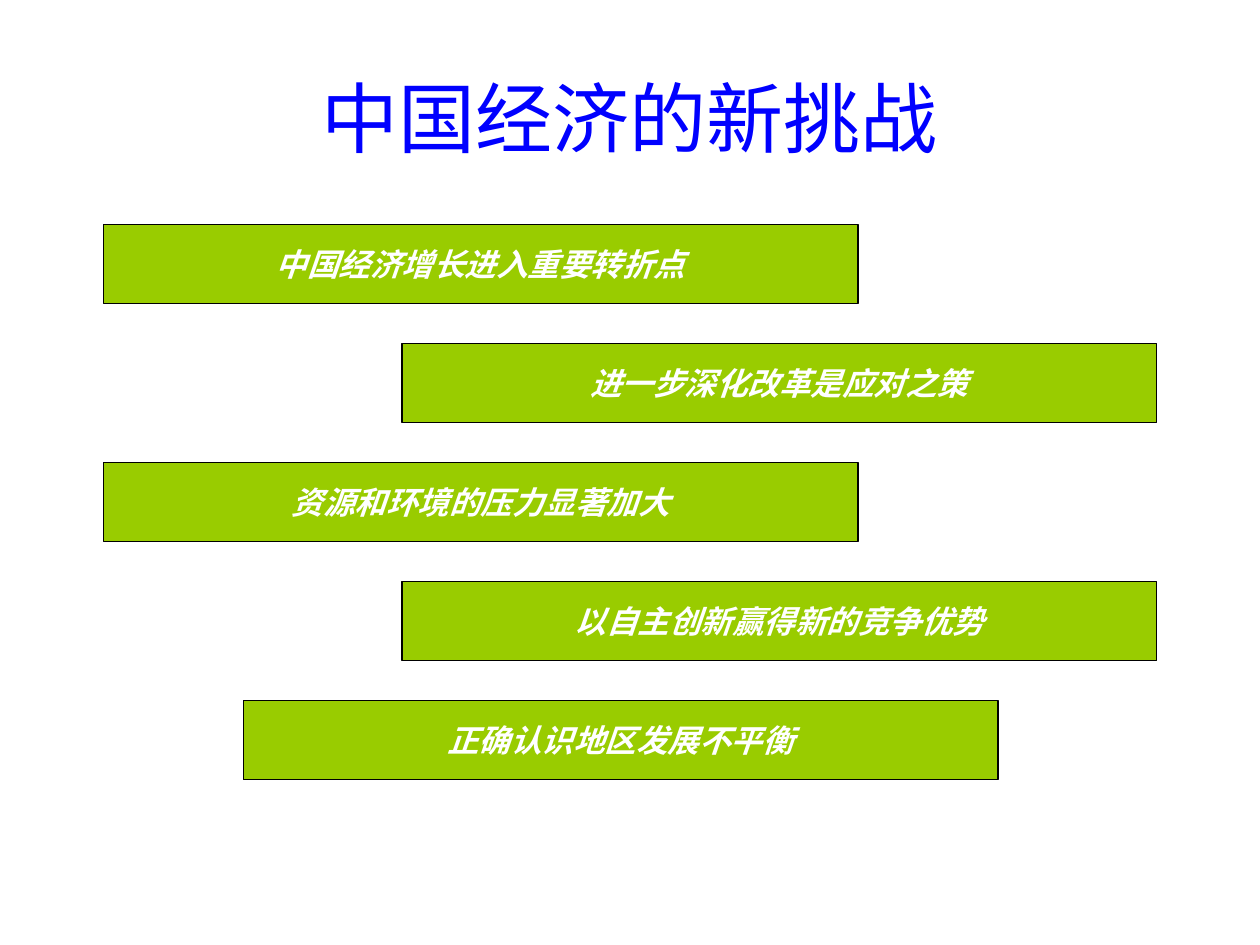
from pptx import Presentation
from pptx.dml.color import RGBColor
from pptx.enum import shapes, text
from pptx.util import Inches, Pt

BLUE = RGBColor(0x00, 0x00, 0xFF)
GREEN = RGBColor(0x99, 0xCC, 0x00)
BLACK = RGBColor(0x00, 0x00, 0x00)
WHITE = RGBColor(0xFF, 0xFF, 0xFF)

LEFT, RIGHT, MIDDLE = 0.82, 3.19, 1.93
FIRST_TOP, STEP = 1.78, 0.945
CHALLENGES = [
    (LEFT, "中国经济增长进入重要转折点"),
    (RIGHT, "进一步深化改革是应对之策"),
    (LEFT, "资源和环境的压力显著加大"),
    (RIGHT, "以自主创新赢得新的竞争优势"),
    (MIDDLE, "正确认识地区发展不平衡"),
]


def write_text(shape, wording, size, color, emphasis=False, wrap=True):
    frame = shape.text_frame
    frame.word_wrap = wrap
    frame.vertical_anchor = text.MSO_ANCHOR.MIDDLE
    paragraph = frame.paragraphs[0]
    paragraph.text = wording
    paragraph.alignment = text.PP_ALIGN.CENTER
    font = paragraph.font
    font.name = "Arial"
    font.size = Pt(size)
    font.color.rgb = color
    font.bold = font.italic = emphasis


def add_title(slide, wording):
    title = slide.shapes.add_textbox(Inches(0.5), Inches(0.3), Inches(9), Inches(1.25))
    write_text(title, wording, 44, BLUE)


def add_bar(slide, left, top, wording):
    bar = slide.shapes.add_shape(
        shapes.MSO_SHAPE.RECTANGLE, Inches(left), Inches(top), Inches(5.99), Inches(0.63)
    )
    bar.shadow.inherit = False
    bar.fill.solid()
    bar.fill.fore_color.rgb = GREEN
    bar.line.color.rgb = BLACK
    bar.line.width = Pt(0.75)
    write_text(bar, wording, 18, WHITE, emphasis=True, wrap=False)


def main():
    presentation = Presentation()
    presentation.slide_width = Inches(10)
    presentation.slide_height = Inches(7.5)
    slide = presentation.slides.add_slide(presentation.slide_layouts[6])
    add_title(slide, "中国经济的新挑战")
    for row, (left, wording) in enumerate(CHALLENGES):
        add_bar(slide, left, FIRST_TOP + row * STEP, wording)
    presentation.save("out.pptx")


if __name__ == "__main__":
    main()
